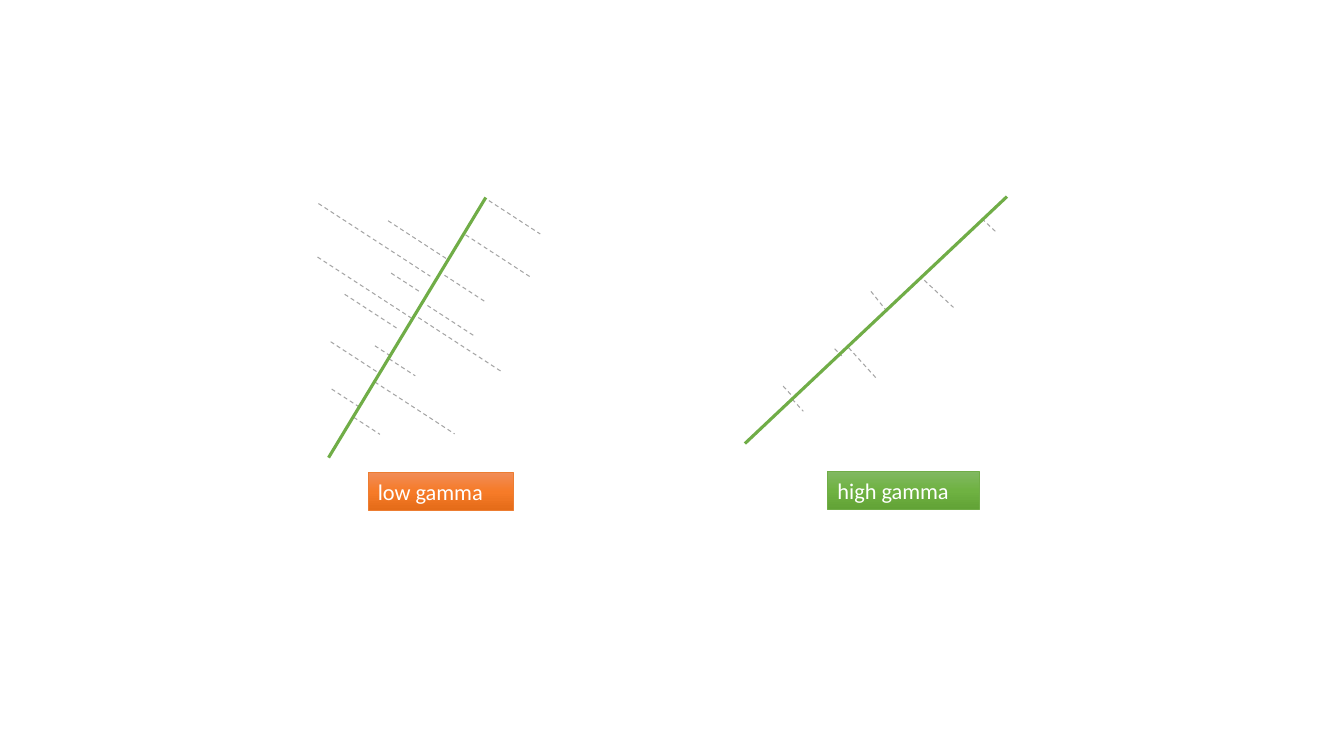
from copy import deepcopy
from dataclasses import dataclass
from typing import Any

from lxml import etree
from pptx import Presentation
from pptx.dml.color import RGBColor
from pptx.enum.dml import MSO_LINE
from pptx.enum.text import MSO_ANCHOR, MSO_AUTO_SIZE, PP_ALIGN
from pptx.oxml.ns import qn
from pptx.slide import Slide
from pptx.util import Pt

DASH = MSO_LINE.DASH
TOP = MSO_ANCHOR.TOP
FIT_SHAPE = MSO_AUTO_SIZE.SHAPE_TO_FIT_TEXT
LEFT = PP_ALIGN.LEFT

WHITE = RGBColor(0xFF, 0xFF, 0xFF)
GRAY = RGBColor(0xA5, 0xA5, 0xA5)
GREEN = RGBColor(0x70, 0xAD, 0x47)
ORANGE = RGBColor(0xED, 0x7D, 0x31)
ORANGE_SHADES = (
    RGBColor(0xF1, 0x8C, 0x57),
    RGBColor(0xF6, 0x7B, 0x28),
    RGBColor(0xE5, 0x6C, 0x19),
)
GREEN_SHADES = (
    RGBColor(0x81, 0xB8, 0x61),
    RGBColor(0x6F, 0xB2, 0x42),
    RGBColor(0x62, 0xA3, 0x36),
)

DISTANCE_FORMAT = {"width": Pt(0.75), "dash_style": DASH}
BOUNDARY_FORMAT = {"width": Pt(2.25)}
FRAME_FORMAT = {"word_wrap": False, "auto_size": FIT_SHAPE, "vertical_anchor": TOP}
FONT_FORMAT = {"name": "Calibri", "size": Pt(16)}

LABEL_HEIGHT = 26.6
LOW_GAMMA_SLOPE = 0.65


@dataclass(frozen=True)
class Segment:
    x1: float
    y1: float
    x2: float
    y2: float


@dataclass(frozen=True)
class Label:
    text: str
    left: float
    top: float
    width: float
    outline: RGBColor
    shades: tuple[RGBColor, ...]


@dataclass(frozen=True)
class Panel:
    boundary: Segment
    distances: list[Segment]
    label: Label


def low_gamma_distance(x: float, y: float, run: float) -> Segment:
    return Segment(x, y, x + run, y + run * LOW_GAMMA_SLOPE)


LOW_GAMMA = Panel(
    boundary=Segment(347, 141.1, 234.7, 326.9),
    distances=[
        low_gamma_distance(*start_and_run)
        for start_and_run in (
            (227.5, 145.4, 79.9),
            (349.2, 143.3, 36.7),
            (277.2, 157.7, 41.8),
            (332.6, 167.8, 46.1),
            (226.8, 183.6, 67),
            (279.4, 195.1, 21.6),
            (317.5, 196.6, 28.8),
            (246.2, 210.2, 38.9),
            (305.3, 218.2, 33.8),
            (298.8, 226.8, 60.5),
            (236.2, 244.1, 33.8),
            (267.8, 247, 12.2),
            (277.9, 256.3, 18.7),
            (267.8, 272.9, 56.9),
            (236.9, 277.9, 20.2),
            (252.7, 298.1, 18.7),
        )
    ],
    label=Label("low gamma", 262.8, 337.7, 103.7, ORANGE, ORANGE_SHADES),
)

HIGH_GAMMA = Panel(
    boundary=Segment(719.3, 140.4, 532.1, 316.8),
    distances=[
        Segment(701.3, 156.2, 711.4, 165.6),
        Segment(660.2, 200.2, 681.1, 219.6),
        Segment(622.1, 208.1, 633.6, 222.5),
        Segment(606.2, 248.4, 626.4, 270.7),
        Segment(596.2, 249.1, 601.2, 254.2),
        Segment(559.4, 275.8, 566.6, 283.7),
        Segment(565.9, 285.1, 573.8, 293.8),
    ],
    label=Label("high gamma", 591.1, 337, 108.7, GREEN, GREEN_SHADES),
)


def apply_format(target: Any, values: dict[str, Any]) -> None:
    for attribute, value in values.items():
        setattr(target, attribute, value)


def draw_segment(
    slide: Slide, segment: Segment, color: RGBColor, line_format: dict[str, Any]
) -> None:
    ends = (segment.x1, segment.y1, segment.x2, segment.y2)
    connector = slide.shapes.add_connector(1, *(Pt(end) for end in ends))
    connector.line.color.rgb = color
    apply_format(connector.line, line_format)
    etree.SubElement(connector._element.spPr, qn("a:effectLst"))


def draw_label(slide: Slide, label: Label) -> None:
    box = slide.shapes.add_textbox(
        Pt(label.left), Pt(label.top), Pt(label.width), Pt(LABEL_HEIGHT)
    )
    box.fill.gradient()
    box.fill.gradient_angle = 270
    stop_list = box._element.spPr.find(".//" + qn("a:gsLst"))
    stop_list.insert(1, deepcopy(stop_list[0]))
    for index, (stop, shade) in enumerate(zip(box.fill.gradient_stops, label.shades)):
        stop.position = index / 2
        stop.color.rgb = shade
    box.line.color.rgb = label.outline
    box.line.width = Pt(0.5)

    apply_format(box.text_frame, FRAME_FORMAT)
    paragraph = box.text_frame.paragraphs[0]
    paragraph.alignment = LEFT
    run = paragraph.add_run()
    run.text = label.text
    apply_format(run.font, FONT_FORMAT)
    run.font.color.rgb = WHITE


def draw_panel(slide: Slide, panel: Panel) -> None:
    for distance in panel.distances:
        draw_segment(slide, distance, GRAY, DISTANCE_FORMAT)
    draw_segment(slide, panel.boundary, GREEN, BOUNDARY_FORMAT)
    draw_label(slide, panel.label)


def main() -> None:
    presentation = Presentation()
    presentation.slide_width = Pt(960)
    presentation.slide_height = Pt(540)
    slide = presentation.slides.add_slide(presentation.slide_layouts[6])
    for panel in (LOW_GAMMA, HIGH_GAMMA):
        draw_panel(slide, panel)
    presentation.save("out.pptx")


if __name__ == "__main__":
    main()
